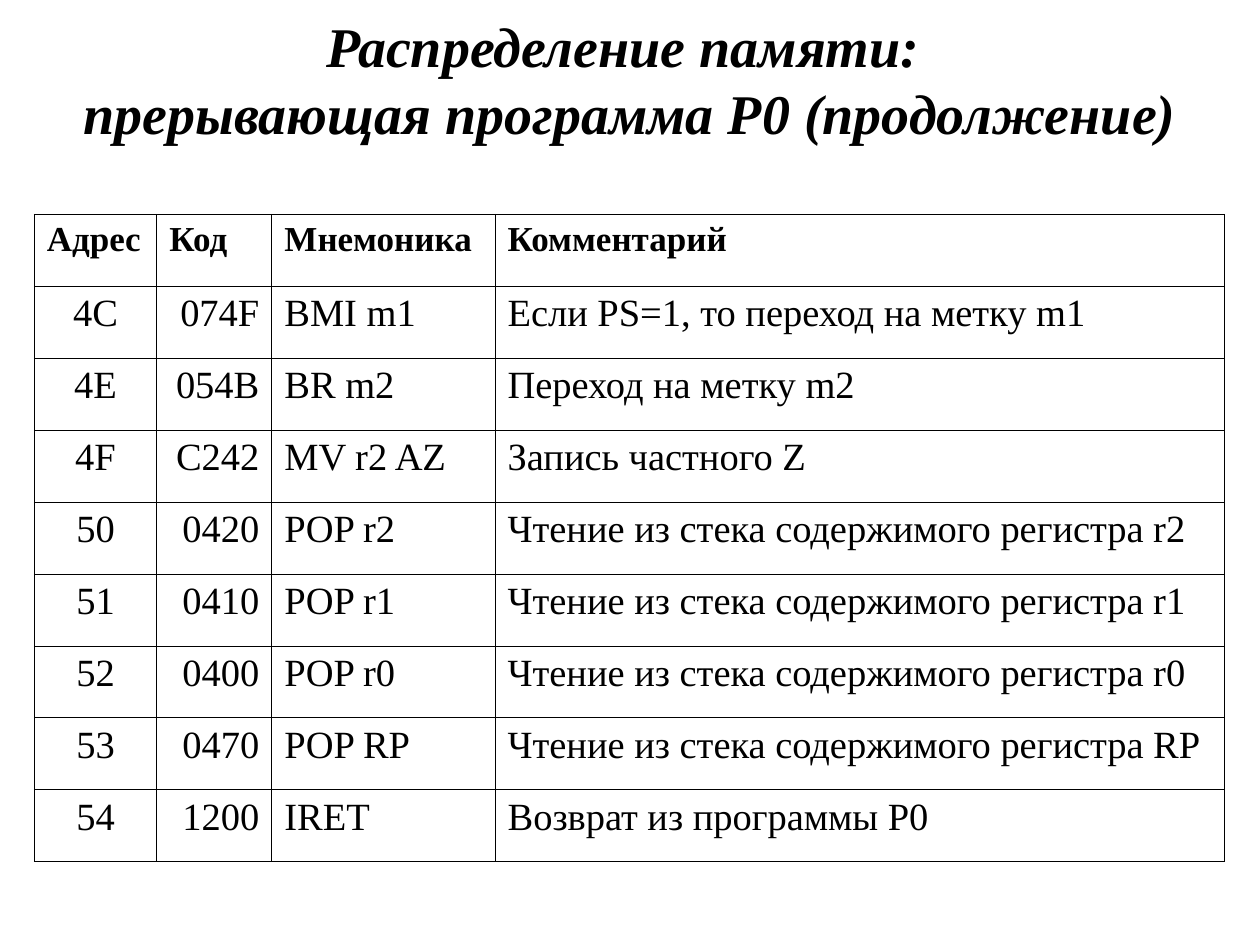
from lxml.etree import SubElement as Sub
from pptx import Presentation
from pptx.dml.color import RGBColor as Rgb
from pptx.enum.text import MSO_ANCHOR as Anchor, MSO_AUTO_SIZE as Fit, PP_ALIGN as Align
from pptx.oxml.ns import qn
from pptx.util import Cm, Pt

COLORS = {"text": "000000", "line": "000000"}
FONT = "Times New Roman"
TITLE = "Распределение памяти: \vпрерывающая программа Р0 (продолжение)"
WIDTHS = [2.47, 2.32, 4.5, 14.7]
ALIGNS = [Align.CENTER, Align.RIGHT, Align.JUSTIFY, Align.JUSTIFY]
HEAD = ["Адрес", "Код", "Мнемоника", "Комментарий"]
ROWS = [
    ["4C", "074F", "BMI m1", "Если PS=1, то переход на метку m1"],
    ["4E", "054B", "BR m2", "Переход на метку m2"],
    ["4F", "C242", "MV r2 AZ", "Запись частного Z"],
    ["50", "0420", "POP r2", "Чтение из стека содержимого регистра r2"],
    ["51", "0410", "POP r1", "Чтение из стека содержимого регистра r1"],
    ["52", "0400", "POP r0", "Чтение из стека содержимого регистра r0"],
    ["53", "0470", "POP RP", "Чтение из стека содержимого регистра RP"],
    ["54", "1200", "IRET", "Возврат из программы P0"],
]


class Page:
    def __init__(self, deck):
        self.slide = deck.slides.add_slide(deck.slide_layouts[5])

    def label(self, frame, text, size, align, bold=False, italic=False):
        frame.text = text
        para = frame.paragraphs[0]
        para.alignment = align
        for run in para.runs:
            font = run.font
            font.name, font.size = FONT, Pt(size)
            font.bold, font.italic = bold, italic
            font.color.rgb = Rgb.from_string(COLORS["text"])

    def title(self, text, left, top, width, height):
        box = self.slide.shapes.title
        box.left, box.top = Cm(left), Cm(top)
        box.width, box.height = Cm(width), Cm(height)
        frame = box.text_frame
        frame.auto_size = Fit.NONE
        frame.word_wrap = True
        frame.vertical_anchor = Anchor.MIDDLE
        self.label(frame, text, 32, Align.CENTER, bold=True, italic=True)

    def border(self, cell):
        props = cell._tc.get_or_add_tcPr()
        for side in ("a:lnL", "a:lnR", "a:lnT", "a:lnB"):
            line = Sub(props, qn(side), w=str(Pt(0.45)))
            fill = Sub(line, qn("a:solidFill"))
            Sub(fill, qn("a:srgbClr"), val=COLORS["line"])

    def table(self, head, rows, left, top, widths, height):
        """Add a ruled table; height is that of one row."""
        count = len(rows) + 1
        grid = self.slide.shapes.add_table(
            count, len(head), Cm(left), Cm(top), Cm(sum(widths)), Cm(height * count)
        ).table
        grid.horz_banding = False
        for col, width in zip(grid.columns, widths):
            col.width = Cm(width)
        for r, row in enumerate([head] + rows):
            grid.rows[r].height = Cm(height)
            for c, text in enumerate(row):
                cell = grid.cell(r, c)
                self.border(cell)
                cell.fill.background()
                if r == 0:
                    self.label(cell.text_frame, text, 20, Align.JUSTIFY, bold=True)
                else:
                    self.label(cell.text_frame, text, 22, ALIGNS[c])


def main():
    deck = Presentation()
    deck.slide_width, deck.slide_height = Cm(25.4), Cm(19.05)
    page = Page(deck)
    page.title(TITLE, 0, 0.33, 25.4, 2.5)
    page.table(HEAD, ROWS, 0.69, 4.32, WIDTHS, 1.45)
    deck.save("out.pptx")


if __name__ == "__main__":
    main()
